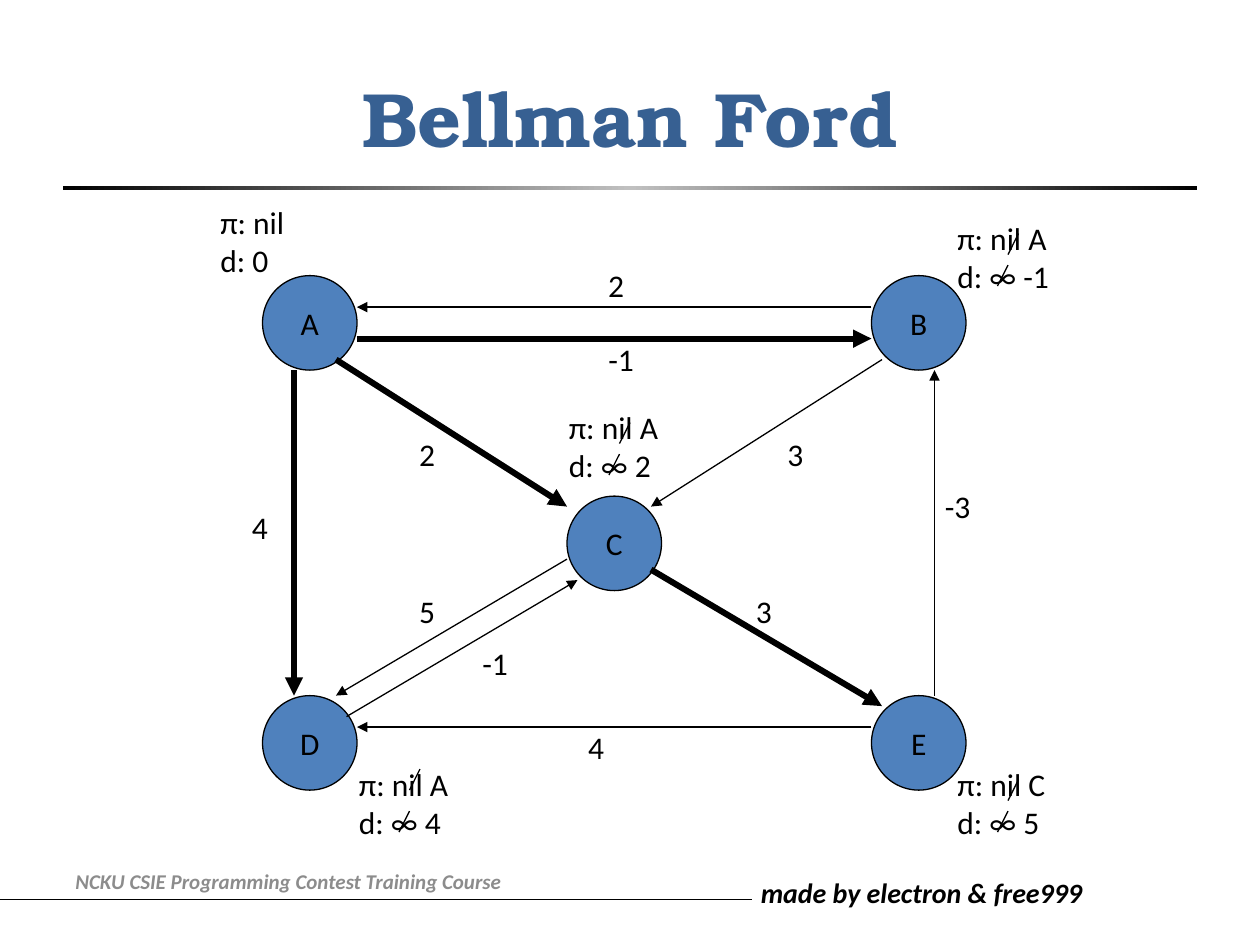
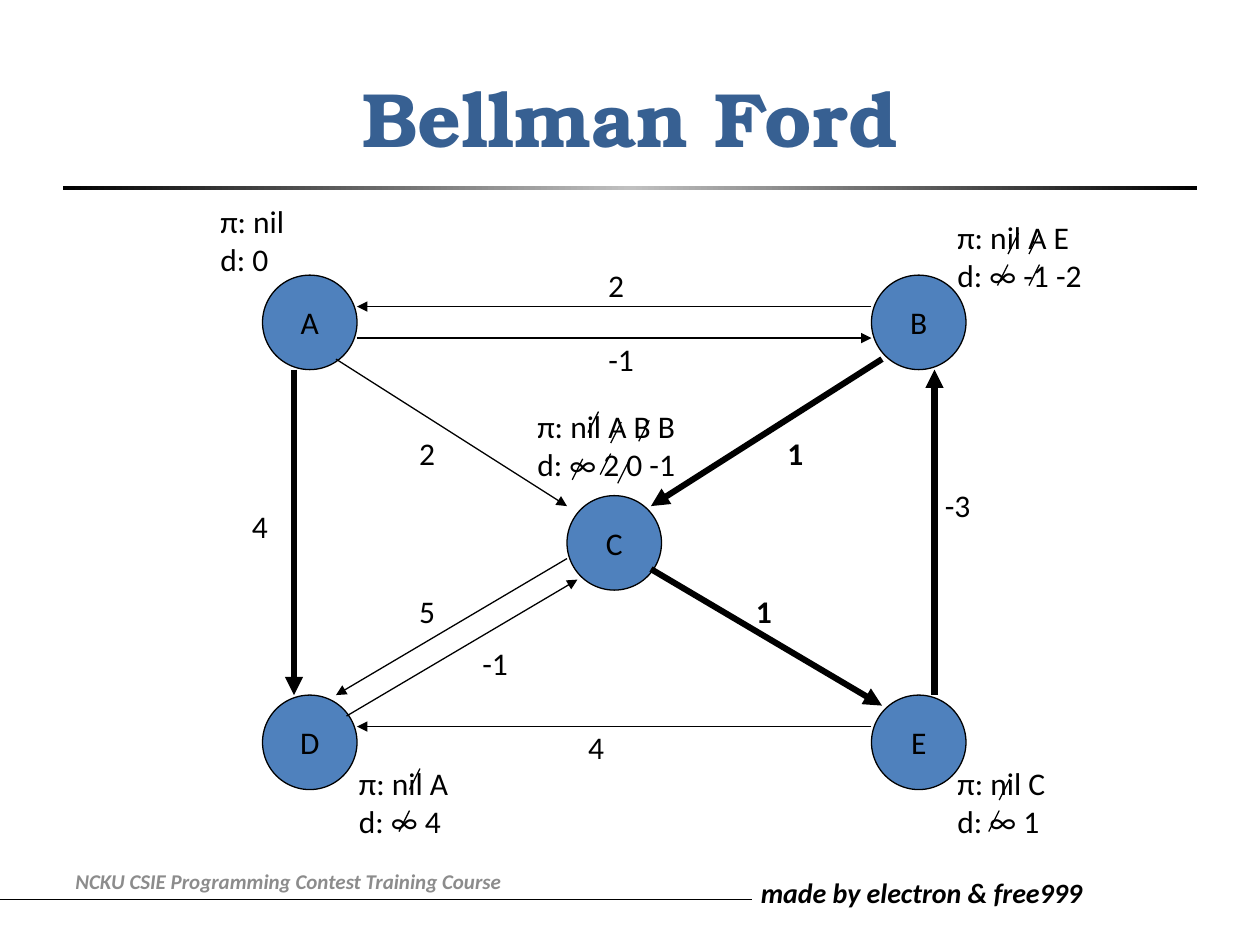
from copy import deepcopy

from pptx import Presentation
from pptx.dml.color import RGBColor
from pptx.enum.shapes import MSO_CONNECTOR, MSO_SHAPE
from pptx.enum.text import MSO_ANCHOR, MSO_AUTO_SIZE, PP_ALIGN
from pptx.oxml.ns import qn
from pptx.util import Pt
from lxml.etree import SubElement

BLACK = RGBColor(0x00, 0x00, 0x00)
SILVER = RGBColor(0xC0, 0xC0, 0xC0)
GREY = RGBColor(0x8C, 0x8C, 0x8C)
TITLE_BLUE = RGBColor(0x37, 0x60, 0x92)
NODE_BLUE = RGBColor(0x4F, 0x81, 0xBD)
BODY_FONT, TITLE_FONT = "Calibri", "TeX Gyre Bonum"

THIN, THICK = 0.75, 3.5
NODE_SIZE = 54
STRIKE_W, STRIKE_H = 6, 12

NODES = {"A": (0, 0), "C": (174, 126), "B": (348, 0), "E": (348, 240), "D": (0, 240)}
EDGES = {
    "BA": ((348, 18), (54, 18), (190.5, -9)),
    "AB": ((54, 36), (348, 36), (190.5, 33.3)),
    "ED": ((348, 258), (54, 258), (179, 255)),
    "AD": ((18, 54), (18, 240), (-13.2, 129)),
    "EB": ((384, 240), (384, 54), (382.8, 117)),
    "AC": ((42, 48), (174, 132), (82.5, 87.3)),
    "BC": ((354, 48), (222, 132), (292.8, 87.3)),
    "CD": ((174, 162), (42, 240), (82.5, 177.3)),
    "CE": ((222, 168), (354, 246), (274.8, 177.3)),
    "DC": ((48, 252), (180, 174), (118.5, 207)),
}
WEIGHTS = {"BA": "2", "AB": "-1", "ED": "4", "AD": "4", "EB": "-3",
           "AC": "2", "BC": "3", "CD": "5", "CE": "3", "DC": "-1"}

NOTE_A = (-31.2, -45, 61, "π: nil", "d: 0")
NOTE_D = (48, 276, 84, "π: nil A", "d: ∞ 4")
STRIKES_B = [(432, -24), (426, -6)]
STRIKES_D = [(90, 282), (84, 306)]

FIRST_PASS = dict(
    weights=WEIGHTS,
    thick={"AB", "AC", "AD", "CE"},
    bold=set(),
    notes=[NOTE_A,
           (390, -36, 108, "π: nil A", "d: ∞ -1"),
           (168, 72, 96, "π: nil A", "d: ∞ 2"),
           NOTE_D,
           (390, 276, 90, "π: nil C", "d: ∞ 5")],
    strikes=STRIKES_B + STRIKES_D + [(210, 84), (204, 102), (432, 288), (426, 306)],
)
LATER_PASS = dict(
    weights={**WEIGHTS, "BC": "1", "CE": "1"},
    thick={"AD", "EB", "BC", "CE"},
    bold={"BC", "CE"},
    notes=[NOTE_A,
           (390, -36, 108, "π: nil A E", "d: ∞ -1 -2"),
           (150, 72, 120, "π: nil A B B", "d: ∞ 2 0 -1"),
           NOTE_D,
           (390, 276, 120, "π: nil C", "d: ∞ 1")],
    strikes=STRIKES_B + STRIKES_D + [
        (444, -24), (444, -6), (205, 84), (199, 102), (209, 107),
        (221, 83), (192, 78), (183, 105), (427, 288), (421, 306)],
)


def write(sp, *lines, size=18, font=BODY_FONT, color=BLACK, bold=False, italic=False,
          align=PP_ALIGN.LEFT, anchor=MSO_ANCHOR.TOP, wrap=True, grow=False):
    tf = sp.text_frame
    tf.word_wrap = wrap
    tf.auto_size = MSO_AUTO_SIZE.SHAPE_TO_FIT_TEXT if grow else MSO_AUTO_SIZE.NONE
    tf.vertical_anchor = anchor
    for i, line in enumerate(lines):
        p = tf.paragraphs[0] if i == 0 else tf.add_paragraph()
        p.alignment = align
        r = p.add_run()
        r.text = line
        f = r.font
        f.size, f.name, f.bold, f.italic = Pt(size), font, bold, italic
        f.color.rgb = color


def add_text(s, x, y, w, h, *lines, **fmt):
    write(s.shapes.add_textbox(Pt(x), Pt(y), Pt(w), Pt(h)), *lines, **fmt)


def add_line(s, start, end, width=THIN, arrow=False):
    c = s.shapes.add_connector(MSO_CONNECTOR.STRAIGHT, *map(Pt, (*start, *end)))
    c.line.color.rgb = BLACK
    c.line.width = Pt(width)
    spPr = c._element.spPr
    if arrow:
        SubElement(spPr.find(qn("a:ln")), qn("a:tailEnd"), type="triangle")
    SubElement(spPr, qn("a:effectLst"))


def add_title(s, text, x, y, w, h):
    sp = s.shapes.title
    sp.left, sp.top, sp.width, sp.height = map(Pt, (x, y, w, h))
    write(sp, text, size=44, font=TITLE_FONT, color=TITLE_BLUE, bold=True,
          align=PP_ALIGN.CENTER, anchor=MSO_ANCHOR.MIDDLE)


def add_rule(s, x, y, w, h):
    sp = s.shapes.add_shape(MSO_SHAPE.RECTANGLE, Pt(x), Pt(y), Pt(w), Pt(h))
    sp.shadow.inherit = False
    sp.line.fill.background()
    sp.fill.gradient()
    sp.fill.gradient_angle = 0
    stops = sp._element.spPr.find(qn("a:gradFill")).find(qn("a:gsLst"))
    stops.insert(1, deepcopy(stops[0]))
    for stop, position, color in zip(sp.fill.gradient_stops, (0, 0.5, 1), (BLACK, SILVER, BLACK)):
        stop.position = position
        stop.color.rgb = color


def add_footer(s, x, y):
    add_line(s, (0, y + 25), (430, y + 25), width=0.5)
    add_text(s, x + 391.7, y + 7.9, 199.4, 26.6, "made by electron & free999",
             size=16, bold=True, italic=True, grow=True)
    add_text(s, x, y, 324, 28.8, "NCKU CSIE Programming Contest Training Course",
             size=12, color=GREY, bold=True, italic=True, anchor=MSO_ANCHOR.MIDDLE)


def add_graph(s, x, y, weights, thick, bold, notes, strikes):
    def at(point):
        return x + point[0], y + point[1]

    for name, corner in NODES.items():
        sp = s.shapes.add_shape(MSO_SHAPE.OVAL, *map(Pt, (*at(corner), NODE_SIZE, NODE_SIZE)))
        sp.shadow.inherit = False
        sp.fill.solid()
        sp.fill.fore_color.rgb = NODE_BLUE
        sp.line.color.rgb = BLACK
        sp.line.width = Pt(THIN)
        write(sp, name, align=PP_ALIGN.CENTER, anchor=MSO_ANCHOR.MIDDLE, wrap=False)
    for edge, (start, end, label) in EDGES.items():
        add_line(s, at(start), at(end), THICK if edge in thick else THIN, arrow=True)
        weight = weights[edge]
        add_text(s, *at(label), 24.5 if len(weight) == 1 else 30.2, 29, weight,
                 bold=edge in bold, wrap=False, grow=True)
    for left, top, w, *lines in notes:
        add_text(s, *at((left, top)), w, 50.4, *lines, grow=True)
    for right, top in strikes:
        add_line(s, at((right, top)), at((right - STRIKE_W, top + STRIKE_H)))


def add_slide(prs, graph_top, state):
    s = prs.slides.add_slide(prs.slide_layouts[5])
    add_rule(s, 36, 106.5, 648, 2.2)
    add_title(s, "Bellman Ford", 36, 21.6, 648, 90)
    add_footer(s, 36, 489)
    add_graph(s, 150, graph_top, **state)


prs = Presentation()
prs.slide_width, prs.slide_height = Pt(720), Pt(540)
add_slide(prs, 157.5, FIRST_PASS)
add_slide(prs, 157.2, LATER_PASS)
prs.save("out.pptx")
